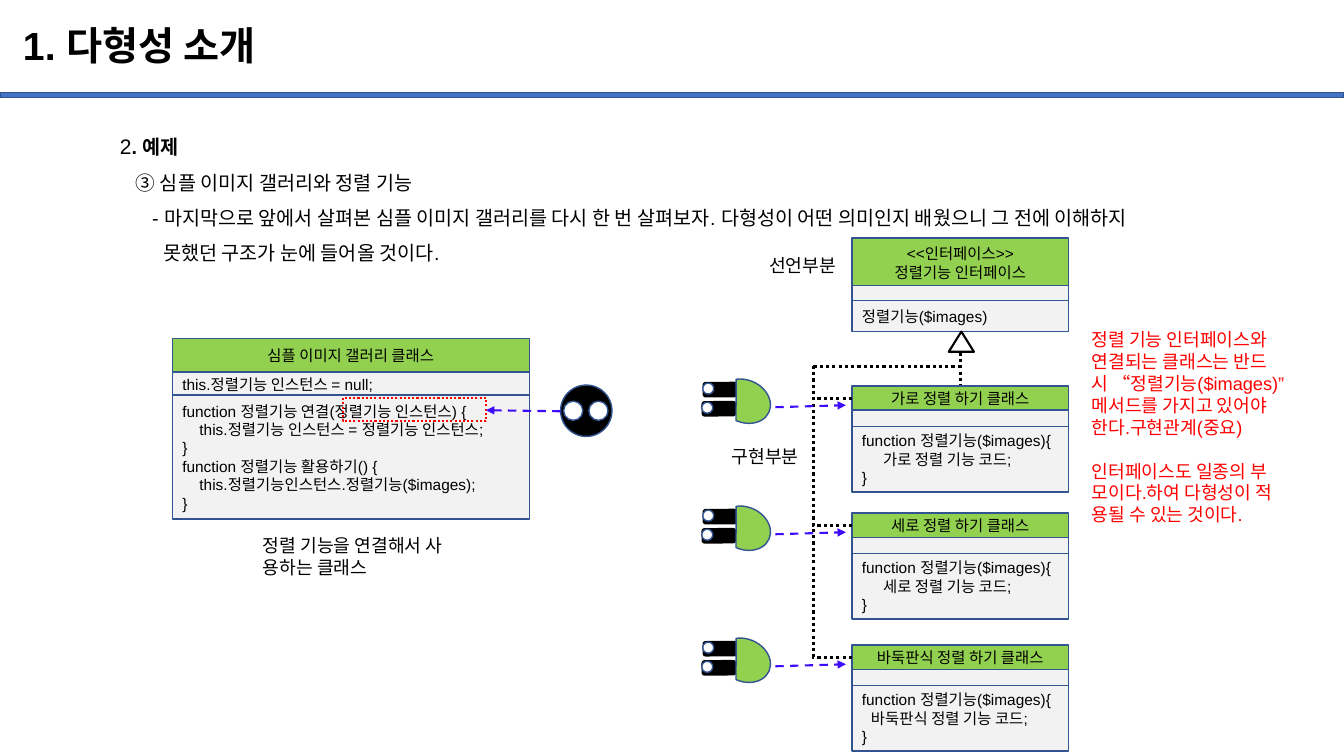
"""Build the slide on polymorphism: a gallery class, a sort interface and its three implementations."""
from lxml.etree import SubElement
from pptx import Presentation
from pptx.dml.color import RGBColor
from pptx.enum.dml import MSO_LINE as DASH
from pptx.enum.shapes import MSO_CONNECTOR, MSO_SHAPE as SHAPE
from pptx.enum.text import MSO_ANCHOR as ANCHOR, PP_ALIGN as ALIGN
from pptx.oxml.ns import qn
from pptx.util import Inches, Pt

COLORS = {"bar": "4472C4", "edge": "325491", "head": "92D050", "body": "F2F2F2", "black": "000000",
          "white": "FFFFFF", "red": "FF0000", "arrow": "3F0BFD"}
FONT = "Arial"

TITLE = "1. 다형성 소개"
INTRO = [
    ("2. 예제", 0),
    ("③ 심플 이미지 갤러리와 정렬 기능", 0.16),
    ("- 마지막으로 앞에서 살펴본 심플 이미지 갤러리를 다시 한 번 살펴보자. "
     "다형성이 어떤 의미인지 배웠으니 그 전에 이해하지", 0.32),
    ("못했던 구조가 눈에 들어올 것이다.", 0.43),
]
GALLERY = [
    (0, 0.34, [("심플 이미지 갤러리 클래스", 0)]),
    (0.33, 0.24, [("this.정렬기능 인스턴스 = null;", 0)]),
    (0.56, 1.23, [
        ("function 정렬기능 연결(정렬기능 인스턴스) {", 0),
        ("this.정렬기능 인스턴스 = 정렬기능 인스턴스;", 0.17),
        ("}", 0),
        ("function 정렬기능 활용하기() {", 0),
        ("this.정렬기능인스턴스.정렬기능($images);", 0.17),
        ("}", 0),
    ]),
]
INTERFACE = [
    (0, 0.5, [("<<인터페이스>>", 0), ("정렬기능 인터페이스", 0)]),
    (0.47, 0.16, []),
    (0.62, 0.31, [("정렬기능($images)", 0)]),
]
SORTERS = [("가로", 3.83, 0.21), ("세로", 5.09, 0.21), ("바둑판식", 6.4, 0.09)]
LABELS = [
    (2.51, 5.25, 2.29, 0.54, "black", ["정렬 기능을 연결해서 사", "용하는 클래스"]),
    (7.53, 2.47, 1.02, 0.32, "black", ["선언부분"]),
    (7.16, 4.37, 1.02, 0.32, "black", ["구현부분"]),
    (10.73, 3.21, 2.29, 2.07, "red", [
        "정렬 기능 인터페이스와", "연결되는 클래스는 반드", "시 “정렬기능($images)”",
        "메서드를 가지고 있어야", "한다.구현관계(중요)",
        "인터페이스도 일종의 부", "모이다.하여 다형성이 적", "용될 수 있는 것이다."]),
]
SECOND_NOTE = "인터페이스도 일종의 부"
CARD_LEFT, CARD_WIDTH = 8.45, 2.15
TRUNK_X, STEM_X, BRANCH_LEFT = 8.07, 9.53, 8.05
BRANCH_DROP = 0.12

deck = Presentation()
deck.slide_width, deck.slide_height = Inches(13.33), Inches(7.5)
slide = deck.slides.add_slide(deck.slide_layouts[6])


def rgb(name):
    return RGBColor.from_string(COLORS[name])


def write(frame, lines, size, color="black", align=ALIGN.LEFT, bold=False, spacing=None):
    frame.word_wrap = True
    for index, (text, indent) in enumerate(lines):
        paragraph = frame.paragraphs[0] if index == 0 else frame.add_paragraph()
        paragraph.text = text
        paragraph.alignment = align
        if spacing:
            paragraph.line_spacing = spacing
        if indent:
            paragraph._p.get_or_add_pPr().set("marL", str(Inches(indent)))
        for run in paragraph.runs:
            run.font.name, run.font.size, run.font.bold = FONT, Pt(size), bold
            run.font.color.rgb = rgb(color)


def add_label(left, top, width, height, lines, size, **style):
    box = slide.shapes.add_textbox(*map(Inches, (left, top, width, height)))
    write(box.text_frame, lines, size, **style)
    return box.text_frame


def add_part(kind, left, top, width, height, fill=None, edge="edge", weight=1, turn=0):
    part = slide.shapes.add_shape(kind, *map(Inches, (left, top, width, height)))
    part.shadow.inherit = False
    part.rotation = turn
    if fill:
        part.fill.solid()
        part.fill.fore_color.rgb = rgb(fill)
    else:
        part.fill.background()
    part.line.color.rgb, part.line.width = rgb(edge), Pt(weight)
    return part


def add_line(start, end, color="black", weight=2.25, dash="sysDot", arrow=False):
    line = slide.shapes.add_connector(MSO_CONNECTOR.STRAIGHT, *map(Inches, (*start, *end)))
    line.line.color.rgb, line.line.width = rgb(color), Pt(weight)
    outline = line.line._get_or_add_ln()
    SubElement(outline, qn("a:prstDash")).set("val", dash)
    if arrow:
        SubElement(outline, qn("a:tailEnd")).set("type", "triangle")
    SubElement(line._element.spPr, qn("a:effectLst"))


def add_arrow(start, end):
    add_line(start, end, "arrow", 1.5, "dash", True)


def add_card(left, top, width, rows):
    for index, (drop, height, lines) in enumerate(rows):
        row = add_part(SHAPE.RECTANGLE, left, top + drop, width, height, "body" if index else "head")
        frame = row.text_frame
        frame.vertical_anchor = ANCHOR.MIDDLE
        frame.margin_top = frame.margin_bottom = 0
        if index:
            frame.margin_right = 0
        write(frame, lines, 11, align=ALIGN.LEFT if index else ALIGN.CENTER)


def add_plug(top):
    for left, drop in ((7.06, 0.19), (7.07, 0)):
        add_part(SHAPE.ROUNDED_RECTANGLE, left, top + drop, 0.14, 0.33, "black", "black", turn=269.6)
        add_part(SHAPE.OVAL, left - 0.1, top + drop + 0.1, 0.11, 0.11, "white", turn=324.1)
    add_part(SHAPE.CHORD, 7.12, top + 0.07, 0.53, 0.42, "head", turn=204)
    add_arrow((7.69, top + 0.34), (8.39, top + 0.32))


add_part(SHAPE.RECTANGLE, 0, 0.92, 13.33, 0.05, "bar")
heading = add_label(0.13, 0.1, 11.5, 0.74, [(TITLE, 0)], 28, bold=True, spacing=0.9)
heading.vertical_anchor = ANCHOR.MIDDLE

intro = add_label(1.09, 1.15, 11.72, 1.52, INTRO, 14, spacing=1.5)
topic = intro.paragraphs[0]
number = topic.runs[0]
number.text, rest = INTRO[0][0][:1], INTRO[0][0][1:]
number.font.size = Pt(15)
example = topic.add_run()
example.text = rest
example.font.name, example.font.size, example.font.bold = FONT, Pt(14), True
example.font.color.rgb = rgb("black")

add_card(1.71, 3.36, 3.54, GALLERY)
argument = add_part(SHAPE.RECTANGLE, 3.4, 3.95, 1.42, 0.23, edge="red", weight=1.5)
argument.line.dash_style = DASH.ROUND_DOT
add_part(SHAPE.OVAL, 5.56, 3.82, 0.51, 0.51, "black")
for hole_left in (5.59, 5.84):
    add_part(SHAPE.OVAL, hole_left, 3.98, 0.19, 0.19, "white")
add_arrow((5.56, 4.08), (4.82, 4.07))

add_card(CARD_LEFT, 2.36, CARD_WIDTH, INTERFACE)
add_part(SHAPE.ISOSCELES_TRIANGLE, 9.41, 3.29, 0.25, 0.2, edge="black", weight=1.5)
add_line((STEM_X, 3.5), (STEM_X, 3.83))
add_line((STEM_X, 3.64), (BRANCH_LEFT, 3.64))
add_line((TRUNK_X, 3.63), (TRUNK_X, SORTERS[-1][1] + BRANCH_DROP))
for direction, card_top, code_indent in SORTERS:
    add_card(CARD_LEFT, card_top, CARD_WIDTH, [
        (0, 0.24, [(f"{direction} 정렬 하기 클래스", 0)]),
        (0.24, 0.16, []),
        (0.4, 0.65, [("function 정렬기능($images){", 0),
                     (f"{direction} 정렬 기능 코드;", code_indent), ("}", 0)]),
    ])
    add_line((CARD_LEFT, card_top + BRANCH_DROP), (BRANCH_LEFT, card_top + BRANCH_DROP))
    add_plug(card_top - 0.13)

for *place, color, texts in LABELS:
    label = add_label(*place, [(text, 0) for text in texts], 13, color=color)
    for paragraph in label.paragraphs:
        if paragraph.text == SECOND_NOTE:
            paragraph.space_before = Pt(15.7)

deck.save("out.pptx")
